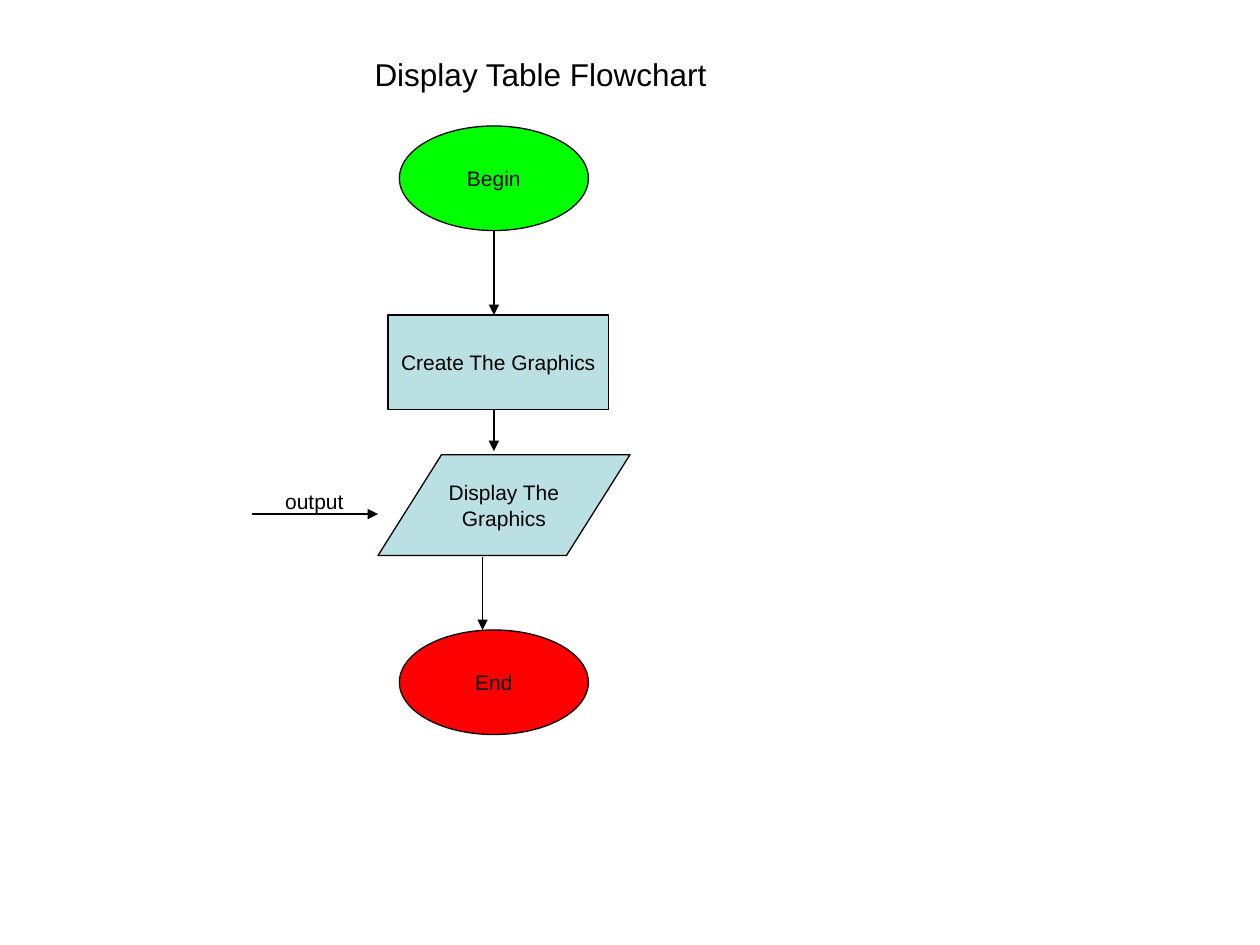
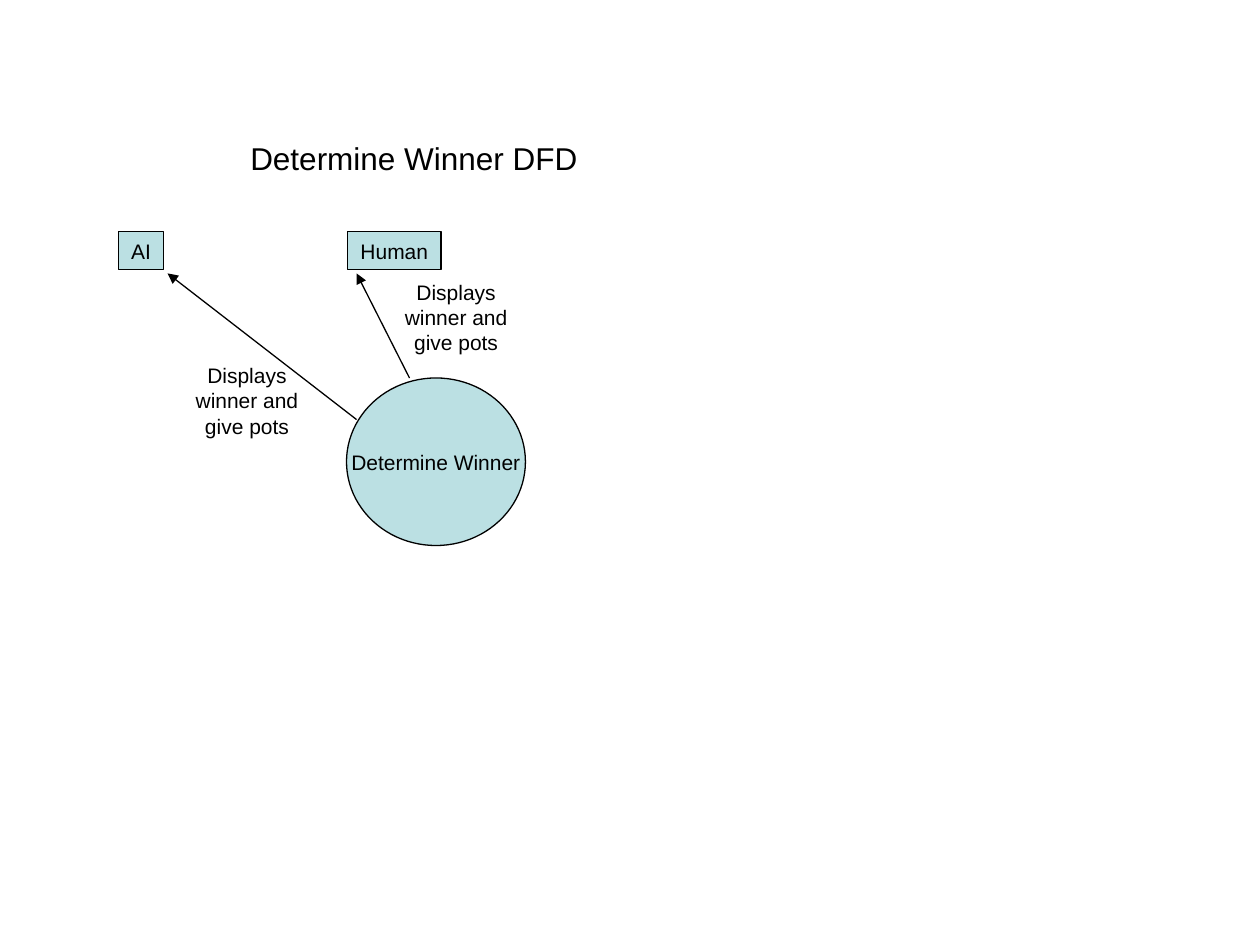
from lxml.etree import SubElement
from pptx import Presentation
from pptx.dml.color import RGBColor
from pptx.enum.shapes import MSO_CONNECTOR, MSO_SHAPE as Preset
from pptx.enum.text import MSO_ANCHOR as Anchor, PP_ALIGN as Align
from pptx.oxml.ns import qn
from pptx.util import Inches, Pt

COLORS = {"ink": "000000", "step": "BBE0E3", "begin": "00FF00", "end": "FF0000"}
FONT = "Arial"
LINE_WIDTH = Pt(0.75)


def rgb(name):
    return RGBColor.from_string(COLORS[name])


def write(frame, text, size=12, anchor=Anchor.MIDDLE, wrap=True):
    """Fill a text frame with one centred paragraph."""
    frame.word_wrap = wrap
    frame.vertical_anchor = anchor
    paragraph = frame.paragraphs[0]
    paragraph.alignment = Align.CENTER
    paragraph.font.name = FONT
    paragraph.font.size = Pt(size)
    paragraph.font.color.rgb = rgb("ink")
    paragraph.add_run().text = text
    return paragraph


class Region:
    """Part of a slide that places its contents relative to its top left corner."""

    def __init__(self, slide, left, top):
        self.shapes, self.left, self.top = slide.shapes, left, top

    def point(self, x, y):
        return Inches(self.left + x), Inches(self.top + y)

    def node(self, preset, text, x, y, width, height, color="step", wrap=False):
        node = self.shapes.add_shape(preset, *self.point(x, y),
                                     Inches(width), Inches(height))
        node.shadow.inherit = False
        node.fill.solid()
        node.fill.fore_color.rgb = rgb(color)
        node.line.color.rgb = rgb("ink")
        node.line.width = LINE_WIDTH
        write(node.text_frame, text, wrap=wrap)
        return node

    def arrow(self, start, end):
        arrow = self.shapes.add_connector(MSO_CONNECTOR.STRAIGHT,
                                          *self.point(*start), *self.point(*end))
        arrow.line.color.rgb = rgb("ink")
        arrow.line.width = LINE_WIDTH
        SubElement(arrow.line._get_or_add_ln(), qn("a:tailEnd"), type="triangle")
        SubElement(arrow._element.spPr, qn("a:effectLst"))

    def label(self, text, x, y, width, height):
        label = self.shapes.add_textbox(*self.point(x, y),
                                        Inches(width), Inches(height))
        write(label.text_frame, text, anchor=Anchor.TOP)


def add_title(slide, text, left, top, height):
    title = slide.shapes.add_textbox(Inches(left), Inches(top),
                                     Inches(5.58), Inches(height))
    return write(title.text_frame, text, size=18)


def add_flowchart(slide, left, top):
    chart = Region(slide, left, top)
    # Terminals
    for text, y, color in (("Begin", 0, "begin"), ("End", 4, "end")):
        chart.node(Preset.FLOWCHART_CONNECTOR, text, 1.17, y, 1.5, 0.83, color)
    # Process and output steps
    chart.node(Preset.RECTANGLE, "Create The Graphics", 1.08, 1.5, 1.75, 0.75)
    display = chart.node(Preset.PARALLELOGRAM, "Display The Graphics",
                         1, 2.61, 2, 0.8, wrap=True)
    display.adjustments[0] = 0.63
    # Downward flow
    for x, start, end in ((1.92, 0.83, 1.5), (1.92, 2.25, 2.58), (1.83, 3.42, 4)):
        chart.arrow((x, start), (x, end))
    # Output marker
    chart.arrow((0, 3.08), (1, 3.08))
    chart.label("output", 0.08, 2.83, 0.83, 0.3)


def add_data_flow(slide, left, top):
    diagram = Region(slide, left, top)
    # Process
    diagram.node(Preset.FLOWCHART_CONNECTOR, "Determine Winner",
                 1.81, 1.16, 1.42, 1.33)
    # Players, each with its flow from the process
    players = (
        ("AI", 0, 0.36, (1.89, 1.49), (0.39, 0.33), (0.48, 0.99)),
        ("Human", 1.82, 0.74, (2.31, 1.16), (1.89, 0.33), (2.14, 0.33)),
    )
    for player, x, width, start, end, label_at in players:
        diagram.node(Preset.RECTANGLE, player, x, 0, width, 0.3)
        diagram.arrow(start, end)
        diagram.label("Displays winner and give pots", *label_at, 1.08, 0.7)


def main():
    deck = Presentation()
    deck.slide_width, deck.slide_height = Inches(10), Inches(7.5)
    blank = deck.slide_layouts[6]

    # Display table
    slide = deck.slides.add_slide(blank)
    add_title(slide, "Display Table Flowchart", 1.5, 0.25, 0.67)
    add_flowchart(slide, 2, 1)

    # Determine winner
    slide = deck.slides.add_slide(blank)
    title = add_title(slide, "Determine Winner DFD", 0.58, 0.67, 0.87)
    # The large closing space sets the height of the title line
    closing_space = title.add_run()
    closing_space.text = " "
    closing_space.font.size = Pt(44)
    add_data_flow(slide, 0.94, 1.84)

    deck.save("out.pptx")


if __name__ == "__main__":
    main()
